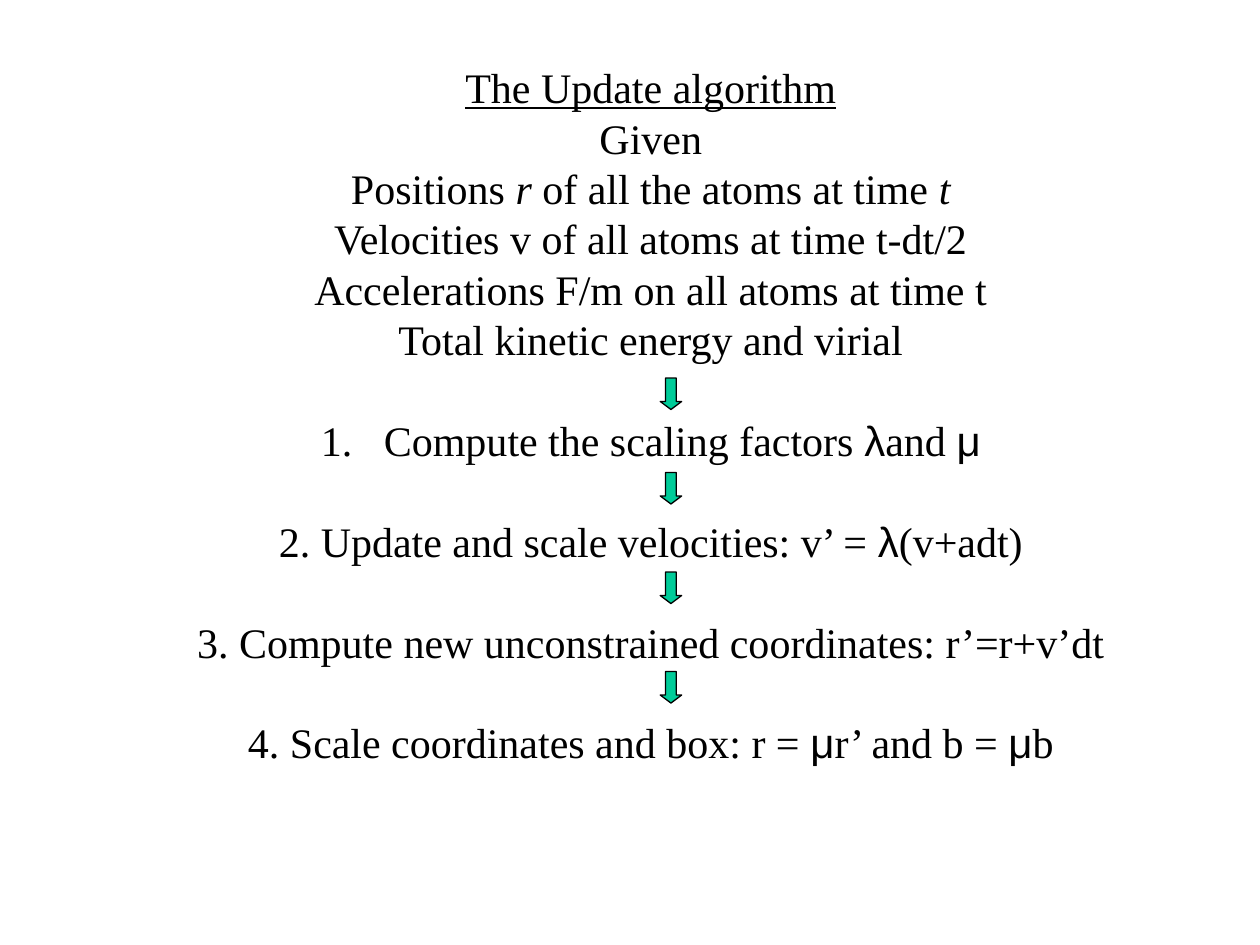
"""Build the slide on the update algorithm."""
from dataclasses import dataclass
from itertools import groupby

from lxml.etree import SubElement
from pptx import Presentation
from pptx.dml.color import RGBColor
from pptx.enum.shapes import MSO_SHAPE
from pptx.enum.text import MSO_AUTO_SIZE, PP_ALIGN
from pptx.oxml.ns import qn
from pptx.util import Inches, Pt


@dataclass(frozen=True)
class Theme:
    """Colours, fonts and type sizes of the slide."""
    ink: RGBColor = RGBColor(0x00, 0x00, 0x00)
    arrow: RGBColor = RGBColor(0x00, 0xCC, 0x99)
    font: str = "Times New Roman"
    greek_font: str = "Arial"
    size: Pt = Pt(24)
    leading: Pt = Pt(28.8)
    outline: Pt = Pt(0.75)


THEME = Theme()
GREEK = "λμ"
TITLE = "The Update algorithm"
GIVEN = [
    "Given",
    "Positions *r* of all the atoms at time *t*",
    "Velocities v of all atoms at time t-dt/2",
    "Accelerations F/m on all atoms at time t",
    "Total kinetic energy and virial",
]
FIRST_STEP = "Compute the scaling factors λand μ"
LATER_STEPS = [
    "2. Update and scale velocities: v’ = λ(v+adt)",
    "3. Compute new unconstrained coordinates: r’=r+v’dt",
    "4. Scale coordinates and box: r = μr’ and b = μb",
]
ARROW_TOPS = [3, 3.75, 4.54, 5.33]


def add_runs(p, text, underline=False):
    """Add text with Greek letters in their own font and *marked* parts in italics."""
    for i, part in enumerate(text.split("*")):
        for is_greek, letters in groupby(part, lambda ch: ch in GREEK):
            r = p.add_run()
            r.text = "".join(letters)
            r.font.name = THEME.greek_font if is_greek else THEME.font
            r.font.size = THEME.size
            r.font.color.rgb = THEME.ink
            r.font.italic = i % 2 == 1
            r.font.underline = underline


def add_line(p, text, is_step=False, underline=False):
    """Fill a centred paragraph, with a line's gap above it if it is a step."""
    p.alignment = PP_ALIGN.CENTER
    p.line_spacing = THEME.leading
    p.space_before = THEME.leading if is_step else Pt(0)
    add_runs(p, text, underline)


def number_paragraph(p):
    """Give a paragraph an automatic number and a hanging indent."""
    pPr = p._p.get_or_add_pPr()
    pPr.set("marL", str(Inches(0.5)))
    pPr.set("indent", str(-Inches(0.5)))
    SubElement(pPr, qn("a:buFont"), typeface=THEME.font)
    SubElement(pPr, qn("a:buAutoNum"), type="arabicPeriod")


def add_algorithm(s):
    """Add the title, the given quantities and the steps in one text box."""
    sp = s.shapes.add_textbox(Inches(1.41), Inches(0.44), Inches(7.51), Inches(5.7))
    tf = sp.text_frame
    tf.word_wrap = True
    tf.auto_size = MSO_AUTO_SIZE.SHAPE_TO_FIT_TEXT
    add_line(tf.paragraphs[0], TITLE, underline=True)
    for text in GIVEN:
        add_line(tf.add_paragraph(), text)
    p = tf.add_paragraph()
    add_line(p, FIRST_STEP, is_step=True)
    number_paragraph(p)
    for text in LATER_STEPS:
        add_line(tf.add_paragraph(), text, is_step=True)


def add_arrow(s, top):
    """Add a small block arrow that points down to the next step."""
    sp = s.shapes.add_shape(MSO_SHAPE.DOWN_ARROW, Inches(5.24), Inches(top),
                            Inches(0.17), Inches(0.25))
    sp.adjustments[0] = 0.5
    sp.adjustments[1] = 0.375
    sp.shadow.inherit = False
    sp.fill.solid()
    sp.fill.fore_color.rgb = THEME.arrow
    sp.line.color.rgb = THEME.ink
    sp.line.width = THEME.outline


def main():
    """Build and save the slide."""
    prs = Presentation()
    prs.slide_width, prs.slide_height = Inches(10), Inches(7.5)
    s = prs.slides.add_slide(prs.slide_layouts[6])
    add_algorithm(s)
    for top in ARROW_TOPS:
        add_arrow(s, top)
    prs.save("out.pptx")


if __name__ == "__main__":
    main()
